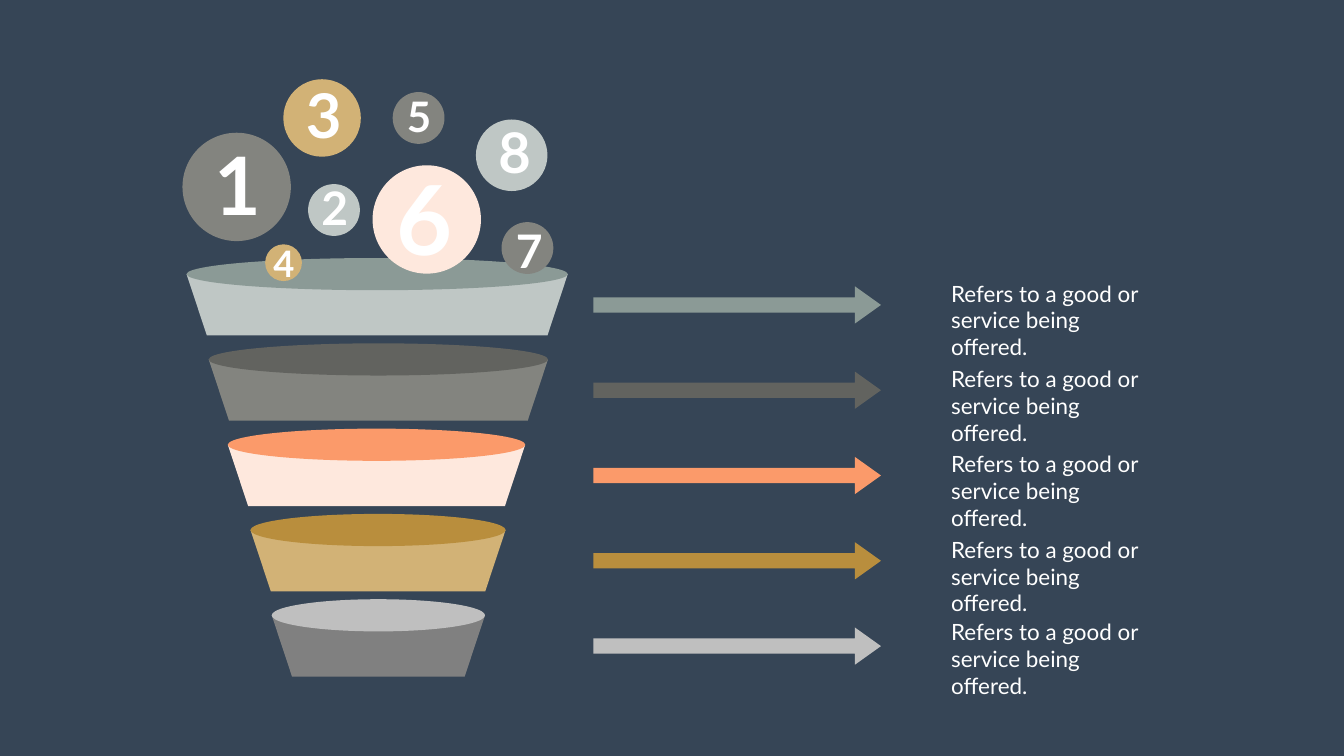
"""Build a five-stage funnel slide with numbered balls, arrows and captions."""
from pptx import Presentation
from pptx.dml.color import RGBColor
from pptx.enum import shapes, text
from pptx.util import Pt

COLORS = {
    "navy": "364556", "white": "FFFFFF",
    "mist": "BFC7C5", "sage": "8B9A96",
    "stone": "83847F", "slate": "62635F",
    "blush": "FEE8DD", "coral": "FB9A6A",
    "sand": "D2B276", "ochre": "B98E3D",
    "gray": "808080", "silver": "BFBFBF",
}
CAPTION = ["Refers to a good or", "service being offered."]
# left, width, bowl colour, lid colour, caption top
STAGES = [
    (266.4, 544.5, "mist", "sage", 396),
    (298.1, 484.6, "stone", "slate", 518.4),
    (325.4, 424.8, "blush", "coral", 640.1),
    (357.8, 364.3, "sand", "ochre", 761.8),
    (388.1, 304.6, "gray", "silver", 879.1),
]
# digit, ball centre, diameter, colour, digit centre, font size
BALLS = [
    ("1", (338, 267), 154.8, "stone", (339.1, 261.4), 115),
    ("6", (609.5, 313.5), 154.8, "blush", (606.2, 309.6), 138),
    ("3", (460, 168.5), 110.7, "sand", (462.2, 163.4), 88),
    ("8", (730.8, 221.8), 102.2, "mist", (734.8, 216.4), 80),
    ("2", (477, 300), 74, "mist", (478.1, 296.3), 66),
    ("4", (405, 375.3), 52.5, "sand", (405.4, 375.5), 52),
    ("5", (597.8, 168.5), 74, "stone", (598.7, 166), 60),
    ("7", (753.3, 354.3), 74, "stone", (756, 356.8), 66),
]
STAGE_TOP, STAGE_PITCH = 368.6, 121.85
LID_HEIGHT, BOWL_HEIGHT, BOWL_INSET = 46, 87.6, 29
ARROW_LEFT, ARROW_WIDTH, ARROW_HEIGHT, ARROW_DROP = 847.5, 410.7, 53.2, 40.4
SHAFT_SHARE, HEAD_SHARE = 0.41, 0.7
CAPTION_LEFT, CAPTION_WIDTH, CAPTION_HEIGHT = 1351.4, 301, 80


def rgb(name):
    return RGBColor.from_string(COLORS[name])


def paint(shape, color):
    shape.shadow.inherit = False
    shape.fill.solid()
    shape.fill.fore_color.rgb = rgb(color)
    shape.line.fill.background()
    return shape


def add_preset(page, kind, left, top, width, height, color):
    shape = page.shapes.add_shape(kind, Pt(left), Pt(top), Pt(width), Pt(height))
    return paint(shape, color)


def add_bowl(page, left, top, width, color):
    right, bottom = left + width, top + BOWL_HEIGHT
    corners = [(right, top), (right - BOWL_INSET, bottom), (left + BOWL_INSET, bottom)]
    builder = page.shapes.build_freeform(Pt(left), Pt(top))
    builder.add_line_segments([(Pt(x), Pt(y)) for x, y in corners], close=True)
    paint(builder.convert_to_shape(), color)


def add_text(page, lines, *, left, top, width, height, size,
             bold=False, wrap=True, align=text.PP_ALIGN.LEFT):
    box = page.shapes.add_textbox(Pt(left), Pt(top), Pt(width), Pt(height))
    frame = box.text_frame
    frame.word_wrap = wrap
    frame.auto_size = text.MSO_AUTO_SIZE.SHAPE_TO_FIT_TEXT
    frame.text = "\n".join(lines)
    for para in frame.paragraphs:
        para.alignment = align
        for span in para.runs:
            span.font.name = "Lato"
            span.font.size = Pt(size)
            span.font.bold = bold
            span.font.color.rgb = rgb("white")


def add_stage(page, index, left, width, bowl, lid, caption_top):
    top = STAGE_TOP + index * STAGE_PITCH
    add_bowl(page, left, top + LID_HEIGHT / 2, width, bowl)
    add_preset(page, shapes.MSO_SHAPE.OVAL, left, top, width, LID_HEIGHT, lid)
    arrow = add_preset(page, shapes.MSO_SHAPE.RIGHT_ARROW, ARROW_LEFT, top + ARROW_DROP,
                       ARROW_WIDTH, ARROW_HEIGHT, lid)
    arrow.adjustments[0] = SHAFT_SHARE
    arrow.adjustments[1] = HEAD_SHARE
    add_text(page, CAPTION, left=CAPTION_LEFT, top=caption_top,
             width=CAPTION_WIDTH, height=CAPTION_HEIGHT, size=32)


def add_ball(page, digit, center, diameter, color, digit_center, size):
    x, y = center
    add_preset(page, shapes.MSO_SHAPE.OVAL, x - diameter / 2, y - diameter / 2,
               diameter, diameter, color)
    width, height = size * 0.58 + 14.4, size * 1.2 + 7.2
    x, y = digit_center
    add_text(page, [digit], left=x - width / 2, top=y - height / 2, width=width,
             height=height, size=size, bold=True, wrap=False, align=text.PP_ALIGN.CENTER)


def main():
    deck = Presentation()
    deck.slide_width, deck.slide_height = Pt(1919.5), Pt(1080)
    page = deck.slides.add_slide(deck.slide_layouts[6])
    page.background.fill.solid()
    page.background.fill.fore_color.rgb = rgb("navy")
    for index, stage in enumerate(STAGES):
        add_stage(page, index, *stage)
    for ball in BALLS:
        add_ball(page, *ball)
    deck.save("out.pptx")


if __name__ == "__main__":
    main()
